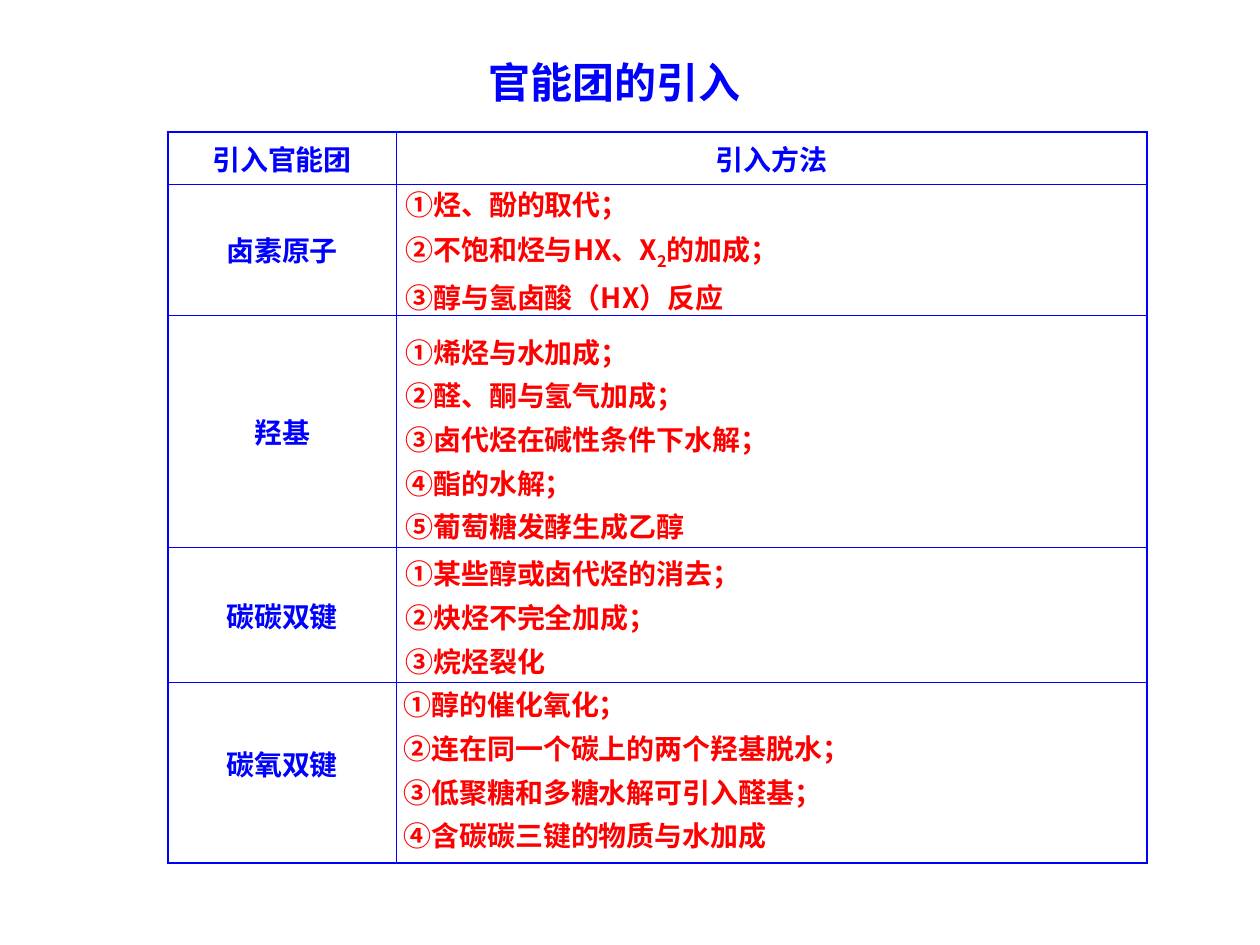
from lxml.etree import SubElement as Sub
from pptx import Presentation
from pptx.dml.color import RGBColor as RGB
from pptx.enum.text import MSO_ANCHOR as Anchor, MSO_AUTO_SIZE as Auto, PP_ALIGN as Align
from pptx.oxml.ns import qn
from pptx.util import Pt

FONT = "Noto Sans CJK SC"
BLUE, RED = "0000FF", "FF0000"
THIN, THICK = 0.45, 1.08
TITLE = "官能团的引入"
HEAD = ("引入官能团", "引入方法")
GROUPS = [
    {"name": "卤素原子", "high": 75, "box": (224.6, 97.9, 433.4, 85.7), "ways": [
        "①烃、酚的取代；", "②不饱和烃与HX、X|2|的加成；", "③醇与氢卤酸（HX）反应"]},
    {"name": "羟基", "high": 133, "box": (224.6, 182.2, 433.4, 132.5), "ways": [
        "①烯烃与水加成；", "②醛、酮与氢气加成；", "③卤代烃在碱性条件下水解；",
        "④酯的水解；", "⑤葡萄糖发酵生成乙醇"]},
    {"name": "碳碳双键", "high": 77, "box": (224.6, 308.9, 402.5, 82.1), "ways": [
        "①某些醇或卤代烃的消去；", "②炔烃不完全加成；", "③烷烃裂化"]},
    {"name": "碳氧双键", "high": 103, "box": (223.6, 383.8, 433.4, 107.3), "ways": [
        "①醇的催化氧化；", "②连在同一个碳上的两个羟基脱水；",
        "③低聚糖和多糖水解可引入醛基；", "④含碳碳三键的物质与水加成"]},
]
WIDE = (130.8, 428.9)
HIGH = [29.5] + [g["high"] for g in GROUPS]


def tint(code):
    return RGB.from_string(code)


def write(frame, lines, size=16, color=BLUE, align=Align.LEFT, space=1.0):
    for i, line in enumerate(lines):
        para = frame.paragraphs[0] if i == 0 else frame.add_paragraph()
        para.alignment = align
        para.line_spacing = space
        for j, part in enumerate(line.split("|")):
            run = para.add_run()
            run.text = part
            font = run.font
            font.size, font.bold, font.name = Pt(size), True, FONT
            font.color.rgb = tint(color)
            props = run._r.get_or_add_rPr()
            Sub(props, qn("a:ea"), typeface=FONT)
            if j % 2:
                props.set("baseline", "-25000")


def add_box(slide, place, lines, **form):
    box = slide.shapes.add_textbox(*map(Pt, place))
    frame = box.text_frame
    frame.word_wrap = True
    write(frame, lines, **form)
    frame.auto_size = Auto.SHAPE_TO_FIT_TEXT


def edge(cell, sides):
    props = cell._tc.get_or_add_tcPr()
    for i, (side, width) in enumerate(sides.items()):
        line = props.makeelement(qn("a:ln" + side), {"w": str(int(Pt(width)))})
        fill = Sub(line, qn("a:solidFill"))
        Sub(fill, qn("a:srgbClr"), val=BLUE)
        props.insert(i, line)


def add_grid(slide):
    rows = [HEAD] + [(g["name"], "") for g in GROUPS]
    last = len(rows) - 1
    grid = slide.shapes.add_table(len(rows), len(HEAD), Pt(95.8), Pt(75.6),
                                  Pt(sum(WIDE)), Pt(sum(HIGH))).table
    grid.first_row = grid.horz_banding = False
    for col, wide in zip(grid.columns, WIDE):
        col.width = Pt(wide)
    for r, row in enumerate(rows):
        grid.rows[r].height = Pt(HIGH[r])
        for c, text in enumerate(row):
            cell = grid.cell(r, c)
            cell.fill.background()
            cell.vertical_anchor = Anchor.MIDDLE
            cell.margin_top = Pt(3)
            cell.margin_bottom = Pt(14 if r == last else 3)
            if text:
                write(cell.text_frame, [text], align=Align.CENTER)
            edge(cell, {"L": THIN if c else THICK, "R": THICK if c else THIN,
                        "T": THIN if r else THICK, "B": THICK if r == last else THIN})


def main():
    deck = Presentation()
    deck.slide_width, deck.slide_height = Pt(720), Pt(540)
    slide = deck.slides.add_slide(deck.slide_layouts[6])
    add_box(slide, (272.2, 28.8, 244.8, 36), [TITLE], size=24)
    add_grid(slide)
    for group in GROUPS:
        add_box(slide, group["box"], group["ways"], color=RED, space=1.3)
    deck.save("out.pptx")


if __name__ == "__main__":
    main()
